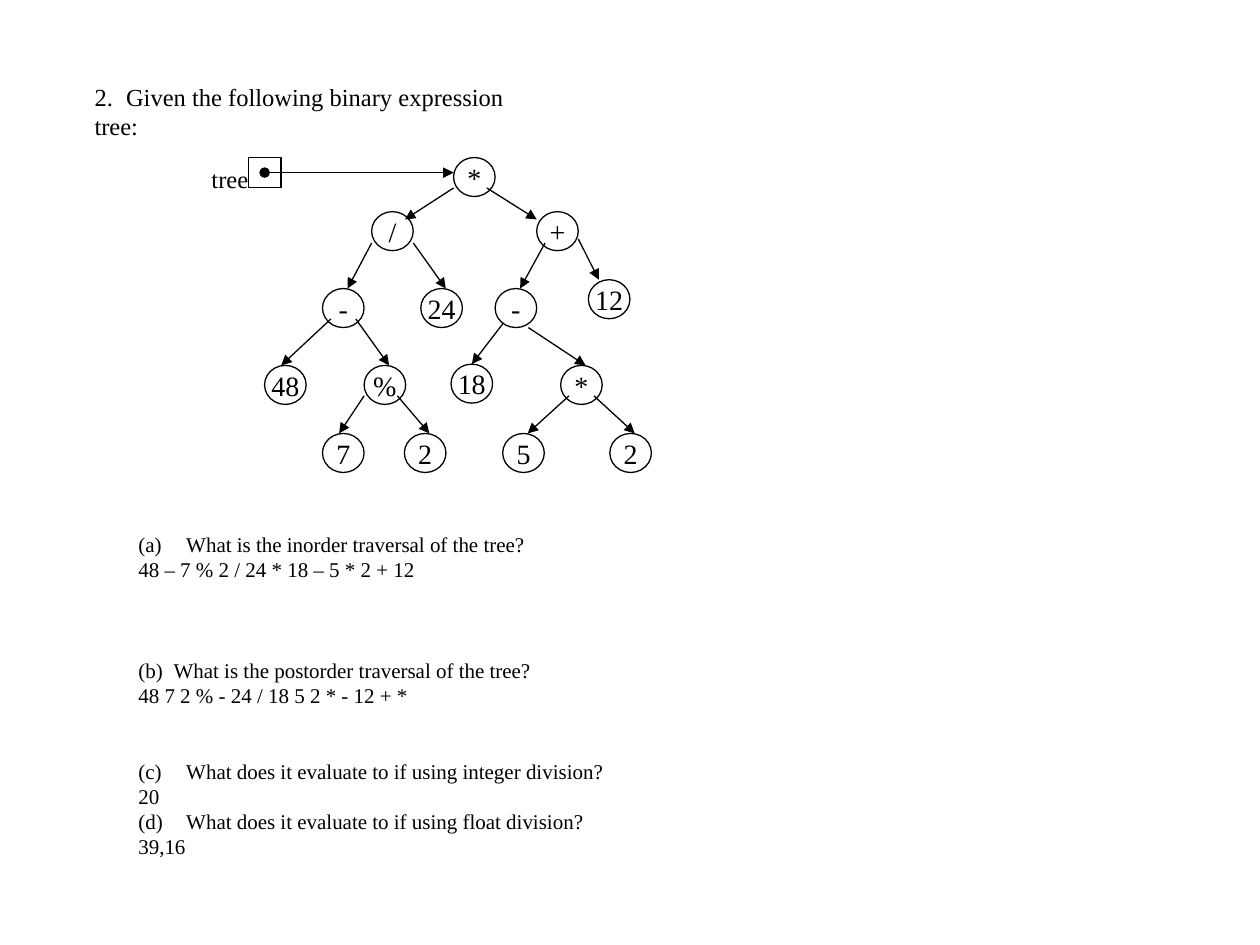
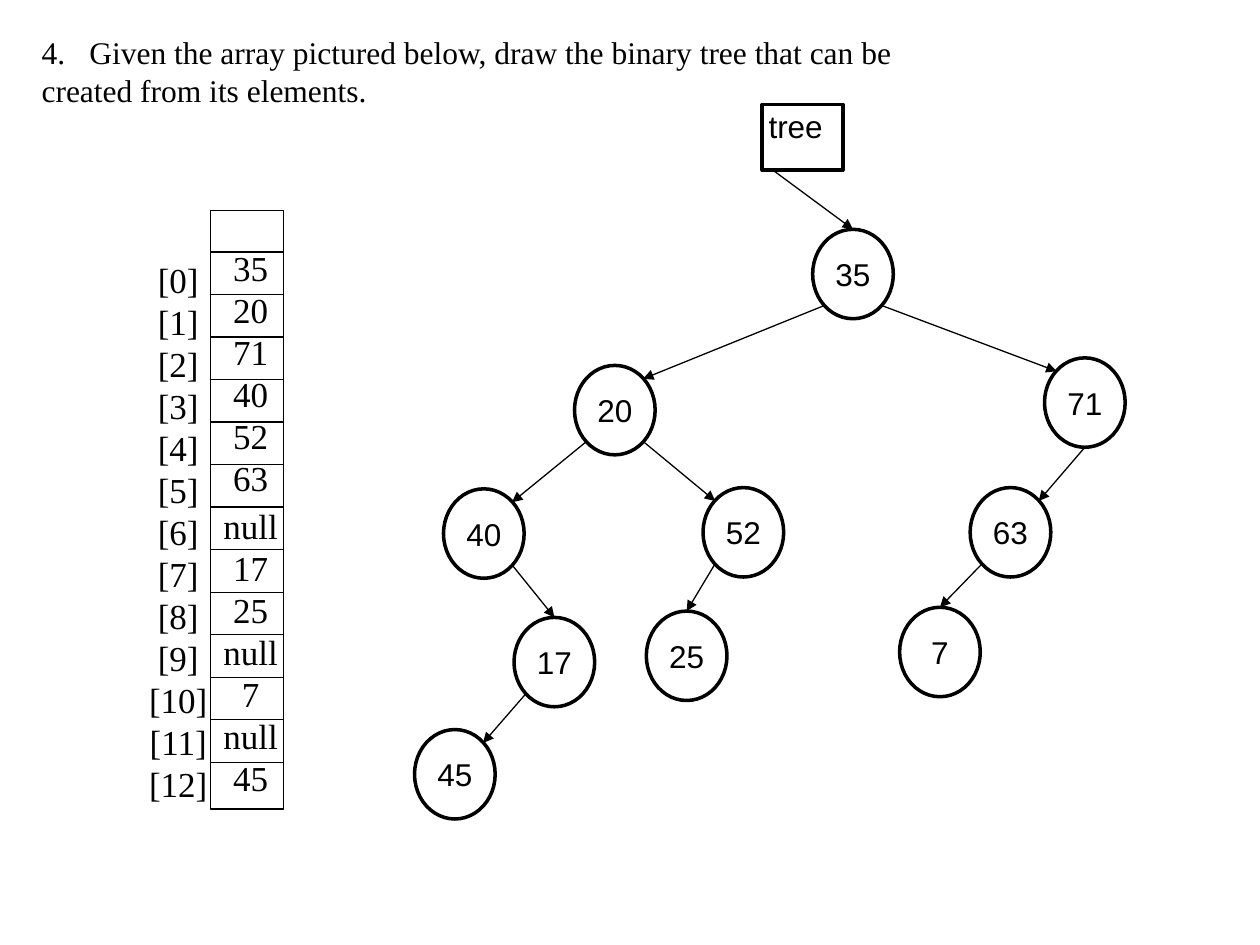
from lxml.etree import SubElement
from pptx import Presentation
from pptx.dml.color import RGBColor
from pptx.enum.shapes import MSO_CONNECTOR, MSO_SHAPE
from pptx.enum.text import MSO_ANCHOR, MSO_AUTO_SIZE, PP_ALIGN
from pptx.oxml.ns import qn
from pptx.util import Inches, Pt

# Shared style; lengths count cells of a grid of 10 columns by 7.5 rows
COLUMNS, ROWS, CELL = 10, 7.5, Inches(1)
BLACK = RGBColor(0, 0, 0)
SERIF, SANS = "Times New Roman", "Arial"
THIN, THICK = 0.75, 2
TITLE_ONLY = 5

# Points on a node, as shares of its width and height
TOP, BOTTOM = (0.5, 0), (0.5, 1)
TOP_LEFT, TOP_RIGHT = (0.15, 0.15), (0.85, 0.15)
LOW_LEFT, LOW_RIGHT = (0.15, 0.85), (0.85, 0.85)

# Expression tree: name -> label, left, top
EXPRESSION_NODES = {
    "root": ("*", 3.6, 1.25),
    "divide": ("/", 2.95, 1.68),
    "plus": ("+", 4.26, 1.68),
    "left minus": ("-", 2.56, 2.29),
    "24": ("24", 3.34, 2.29),
    "right minus": ("-", 3.93, 2.29),
    "12": ("12", 4.67, 2.22),
    "48": ("48", 2.1, 2.9),
    "modulo": ("%", 2.89, 2.9),
    "18": ("18", 3.58, 2.89),
    "times": ("*", 4.45, 2.9),
    "7": ("7", 2.56, 3.44),
    "left 2": ("2", 3.21, 3.44),
    "5": ("5", 3.99, 3.44),
    "right 2": ("2", 4.84, 3.44),
}
# Parent, point on parent, child, point on child
EXPRESSION_EDGES = [
    ("root", (0, 0.78), "divide", (0.8, 0.2)),
    ("root", (0.8, 0.78), "plus", (0, 0.2)),
    ("divide", (0, 0.8), "left minus", (0.6, 0)),
    ("divide", (1, 0.8), "24", (0.6, 0)),
    ("plus", (0.2, 0.8), "right minus", (0.6, 0)),
    ("plus", (1, 0.7), "12", (0.25, 0)),
    ("left minus", (0.2, 0.78), "48", (0.4, 0)),
    ("left minus", (0.8, 0.78), "modulo", (0.6, 0)),
    ("modulo", (0, 0.78), "7", (0.4, 0)),
    ("modulo", (0.8, 0.78), "left 2", (0.6, 0)),
    ("right minus", (0.2, 0.88), "18", TOP),
    ("right minus", (0.8, 1), "times", (0.6, 0)),
    ("times", (0.2, 0.78), "5", (0.6, 0)),
    ("times", (0.8, 0.78), "right 2", (0.6, 0)),
]
# Space before in points, question, answer
QUESTIONS = [
    (0, "What is the inorder traversal of the tree?",
     "48 – 7 % 2 / 24 * 18 – 5 * 2 + 12"),
    (43, "What is the postorder traversal of the tree?",
     "48 7 2 % - 24 / 18 5 2 * - 12 + *"),
    (29, "What does it evaluate to if using integer division?", "20"),
    (0, "What does it evaluate to if using float division?", "39,16"),
]

# Tree stored in the array
ARRAY_VALUES = ["35", "20", "71", "40", "52", "63", "null",
                "17", "25", "null", "7", "null", "45"]
ARRAY_NODES = {
    label: (label, left, top) for label, left, top in [
        ("35", 6.45, 1.82), ("20", 4.56, 2.9), ("71", 8.29, 2.84),
        ("40", 3.52, 3.88), ("52", 5.58, 3.87), ("63", 7.7, 3.87),
        ("17", 4.08, 4.9), ("25", 5.13, 4.85), ("7", 7.14, 4.82),
        ("45", 3.29, 5.79)]
}
ARRAY_EDGES = [
    ("35", LOW_LEFT, "20", TOP_RIGHT),
    ("35", LOW_RIGHT, "71", TOP_LEFT),
    ("20", LOW_LEFT, "40", TOP_RIGHT),
    ("20", LOW_RIGHT, "52", TOP_LEFT),
    ("71", BOTTOM, "63", TOP_RIGHT),
    ("40", LOW_RIGHT, "17", TOP),
    ("52", LOW_LEFT, "25", TOP),
    ("63", LOW_LEFT, "7", TOP),
    ("17", LOW_LEFT, "45", TOP_RIGHT),
]


def cells(*lengths):
    return [int(length * CELL) for length in lengths]


def write(frame, lines, font, size, align=PP_ALIGN.LEFT, side=0.1,
          edge=0.05, anchor=MSO_ANCHOR.TOP, wrap=True):
    """Fill a text frame, one paragraph a line."""
    frame.text = "\n".join(lines)
    frame.auto_size = MSO_AUTO_SIZE.NONE
    frame.word_wrap = wrap
    frame.vertical_anchor = anchor
    frame.margin_left = frame.margin_right = Inches(side)
    frame.margin_top = frame.margin_bottom = Inches(edge)
    for para in frame.paragraphs:
        para.alignment = align
        for span in para.runs:
            span.font.name = font
            span.font.size = Pt(size)
            span.font.color.rgb = BLACK


def number(para, scheme, start, indent):
    """Give a paragraph an automatic number with a hanging indent."""
    properties = para._p.get_or_add_pPr()
    properties.set("marL", str(Inches(indent)))
    properties.set("indent", str(-Inches(indent)))
    SubElement(properties, qn("a:buFont"), typeface=SERIF)
    SubElement(properties, qn("a:buAutoNum"), type=scheme, startAt=str(start))


def add_text(page, place, lines, font, size, **layout):
    box = page.shapes.add_textbox(*cells(*place))
    write(box.text_frame, lines, font, size, **layout)
    return box.text_frame


def add_outline(page, kind, place, weight):
    shape = page.shapes.add_shape(kind, *cells(*place))
    shape.shadow.inherit = False
    shape.fill.background()
    shape.line.color.rgb = BLACK
    shape.line.width = Pt(weight)
    return shape


def add_line(page, start, end, head=None, tail=None):
    line = page.shapes.add_connector(MSO_CONNECTOR.STRAIGHT,
                                     *cells(*start, *end))
    line.line.color.rgb = BLACK
    line.line.width = Pt(THIN)
    properties = line.element.spPr
    outline = properties.find(qn("a:ln"))
    for tag, kind in (("a:headEnd", head), ("a:tailEnd", tail)):
        if kind:
            SubElement(outline, qn(tag), type=kind)
    SubElement(properties, qn("a:effectLst"))


def add_tree(page, nodes, edges, size, weight, font, points):
    """Draw labelled ellipses and the arrows from parents to children."""
    width, height = size
    for label, left, top in nodes.values():
        node = add_outline(page, MSO_SHAPE.OVAL,
                           (left, top, width, height), weight)
        write(node.text_frame, [label], font, points, PP_ALIGN.CENTER,
              side=0, edge=0, anchor=MSO_ANCHOR.MIDDLE, wrap=False)

    def point(name, share):
        _, left, top = nodes[name]
        return left + share[0] * width, top + share[1] * height

    for parent, leave, child, arrive in edges:
        add_line(page, point(parent, leave), point(child, arrive),
                 tail="triangle")


def add_page(deck, place, start, indent, lines, size):
    """Add a slide whose title is a numbered exercise."""
    page = deck.slides.add_slide(deck.slide_layouts[TITLE_ONLY])
    title = page.shapes.title
    title.left, title.top, title.width, title.height = cells(*place)
    write(title.text_frame, lines, SERIF, size)
    number(title.text_frame.paragraphs[0], "arabicPeriod", start, indent)
    return page


def add_questions(page):
    lines = [line for _, *pair in QUESTIONS for line in pair]
    frame = add_text(page, (1, 4.17, 3.94, 3.13), lines, SERIF, 12)
    for order, (gap, _, _) in enumerate(QUESTIONS):
        para = frame.paragraphs[2 * order]
        para.space_before = Pt(gap)
        number(para, "alphaLcParenBoth", order + 1,
               0.28 if order == 1 else 0.38)


def add_array(page):
    """Draw the array column with its indexes and values."""
    left, top, width, height = 1.67, 1.67, 0.58, 4.75
    pitch = 0.3375
    add_outline(page, MSO_SHAPE.RECTANGLE, (left, top, width, height), THIN)
    for row in range(len(ARRAY_VALUES)):
        level = 2 + row * pitch
        add_line(page, (left, level), (left + width, level))
    indexes = [f"[{index}]" for index in range(len(ARRAY_VALUES))]
    add_text(page, (1.08, 2, 0.67, 4.48), indexes, SERIF, 20,
             align=PP_ALIGN.CENTER, side=0)
    values = add_text(page, (left, 1.91, 0.64, 4.48), ARRAY_VALUES, SERIF, 20,
                      align=PP_ALIGN.CENTER, side=0)
    values.paragraphs[ARRAY_VALUES.index("null")].space_before = Pt(3)


def build_expression_page(deck):
    page = add_page(deck, (0.65, 0.6, 3.83, 0.6), 2, 0.25,
                    ["Given the following binary expression", "tree:"], 14)
    add_questions(page)
    add_tree(page, EXPRESSION_NODES, EXPRESSION_EDGES, (0.33, 0.31),
             THIN, SERIF, 16)
    # Pointer to the root
    add_outline(page, MSO_SHAPE.RECTANGLE, (1.97, 1.25, 0.26, 0.24), THIN)
    add_text(page, (1.58, 1.25, 0.49, 0.33), ["tree"], SERIF, 14, wrap=False)
    add_line(page, (2.1, 1.37), (3.6, 1.37), head="oval", tail="triangle")


def build_array_page(deck):
    page = add_page(deck, (0.23, 0.21, 7.02, 0.71), 4, 0.38,
                    ["Given the array pictured below, draw the binary tree "
                     "that can be", "created from its elements."], 18)
    add_array(page)
    # Pointer to the root
    pointer = add_outline(page, MSO_SHAPE.RECTANGLE,
                          (6.05, 0.83, 0.64, 0.52), THICK)
    write(pointer.text_frame, ["tree"], SANS, 18, side=0.05, edge=0.02,
          wrap=False)
    add_line(page, (6.12, 1.34), (6.77, 1.82), tail="triangle")
    add_tree(page, ARRAY_NODES, ARRAY_EDGES, (0.64, 0.71), THICK, SANS, 18)


def main():
    deck = Presentation()
    deck.slide_width, deck.slide_height = cells(COLUMNS, ROWS)
    build_expression_page(deck)
    build_array_page(deck)
    deck.save("out.pptx")


main()
